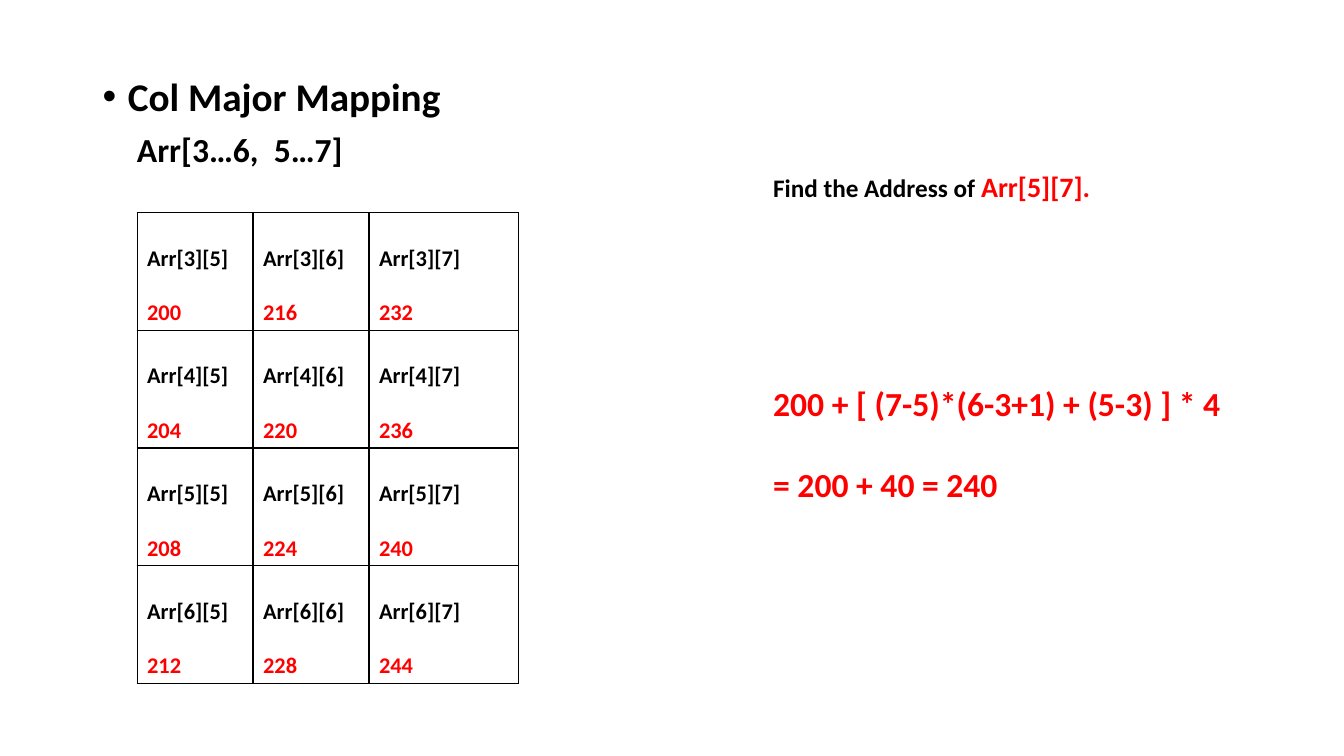
from pptx import Presentation
from pptx.dml.color import RGBColor as RGB
from pptx.enum.text import MSO_AUTO_SIZE as Fit
from pptx.oxml.ns import qn
from pptx.util import Inches, Pt
from lxml.etree import SubElement as Sub

BLACK = RGB(0x00, 0x00, 0x00)
RED = RGB(0xFF, 0x00, 0x00)
FONT = "Calibri"
ROWS = range(3, 7)
COLS = range(5, 8)
BASE = 200
SIZE = 4


def add_run(para, text, size, color=BLACK):
    """Add one bold run to a paragraph."""
    run = para.add_run()
    run.text = text
    font = run.font
    font.name, font.size, font.bold = FONT, Pt(size), True
    font.color.rgb = color


def add_box(slide, left, top, width, height, wrap=False):
    """Add a text box and return its frame."""
    box = slide.shapes.add_textbox(Inches(left), Inches(top), Inches(width), Inches(height))
    frame = box.text_frame
    frame.word_wrap = wrap
    frame.auto_size = Fit.SHAPE_TO_FIT_TEXT
    return frame


def indent(para, left, first=0, mark=None):
    """Set the indents of a paragraph and its bullet, if any."""
    props = para._p.get_or_add_pPr()
    props.set("marL", str(Inches(left)))
    props.set("indent", str(Inches(first)))
    if mark:
        Sub(props, qn("a:buFont"), typeface="Arial")
        Sub(props, qn("a:buChar"), char=mark)


def add_head(slide, left, top, width, height):
    """Place the bulleted heading and the array bounds."""
    frame = add_box(slide, left, top, width, height, wrap=True)
    head = frame.paragraphs[0]
    indent(head, 0.25, -0.25, "•")
    head.line_spacing = 0.9
    add_run(head, "Col Major Mapping", 28)
    bounds = frame.add_paragraph()
    indent(bounds, 0.34)
    bounds.line_spacing = 0.9
    bounds.space_before = Pt(10)
    add_run(bounds, "Arr[3…6,  5…7]", 24)


def add_edges(cell):
    """Draw a thin black line on each side of a cell."""
    props = cell._tc.get_or_add_tcPr()
    for spot, side in enumerate(("lnL", "lnR", "lnT", "lnB")):
        line = props.makeelement(qn(f"a:{side}"), {"w": str(Pt(1))})
        fill = Sub(line, qn("a:solidFill"))
        Sub(fill, qn("a:srgbClr"), val=str(BLACK))
        props.insert(spot, line)


def fill_cell(cell, row, col):
    """Write an element and its column-major address in a cell."""
    cell.fill.background()
    cell.margin_top, cell.margin_bottom = Inches(0.32), Inches(0.02)
    frame = cell.text_frame
    add_run(frame.paragraphs[0], f"Arr[{row}][{col}]", 16)
    place = (col - COLS[0]) * len(ROWS) + row - ROWS[0]
    para = frame.add_paragraph()
    para.space_before = Pt(19.5)
    add_run(para, str(BASE + place * SIZE), 16, RED)
    add_edges(cell)


def add_grid(slide, left, top, width, height):
    """Place the table of array elements."""
    grid = slide.shapes.add_table(len(ROWS), len(COLS), Inches(left), Inches(top),
                                  Inches(width), Inches(height)).table
    grid.first_row = grid.horz_banding = False
    for col, wide in zip(grid.columns, (1.15, 1.15, width - 2.3)):
        col.width = Inches(wide)
    for y, row in enumerate(ROWS):
        for x, col in enumerate(COLS):
            fill_cell(grid.cell(y, x), row, col)


def add_task(slide, left, top, width, height):
    """Place the question."""
    para = add_box(slide, left, top, width, height).paragraphs[0]
    add_run(para, "Find the Address of ", 18)
    add_run(para, "Arr[5][7].", 20, RED)


def add_sum(slide, left, top, width, height):
    """Place the address calculation."""
    frame = add_box(slide, left, top, width, height)
    add_run(frame.paragraphs[0], "200 + [ (7-5)*(6-3+1) + (5-3) ] * 4", 24, RED)
    para = frame.add_paragraph()
    para.space_before = Pt(29)
    add_run(para, "= 200 + 40 = 240", 24, RED)


def main():
    """Build and save the slide."""
    deck = Presentation()
    deck.slide_width, deck.slide_height = Inches(13.33), Inches(7.5)
    slide = deck.slides.add_slide(deck.slide_layouts[6])
    add_sum(slide, 7.57, 3.75, 4.68, 1.31)
    add_head(slide, 0.92, 0.72, 11.5, 1.09)
    add_grid(slide, 1.36, 2.11, 3.78, 4.67)
    add_task(slide, 7.57, 1.63, 3.44, 0.44)
    deck.save("out.pptx")


if __name__ == "__main__":
    main()
